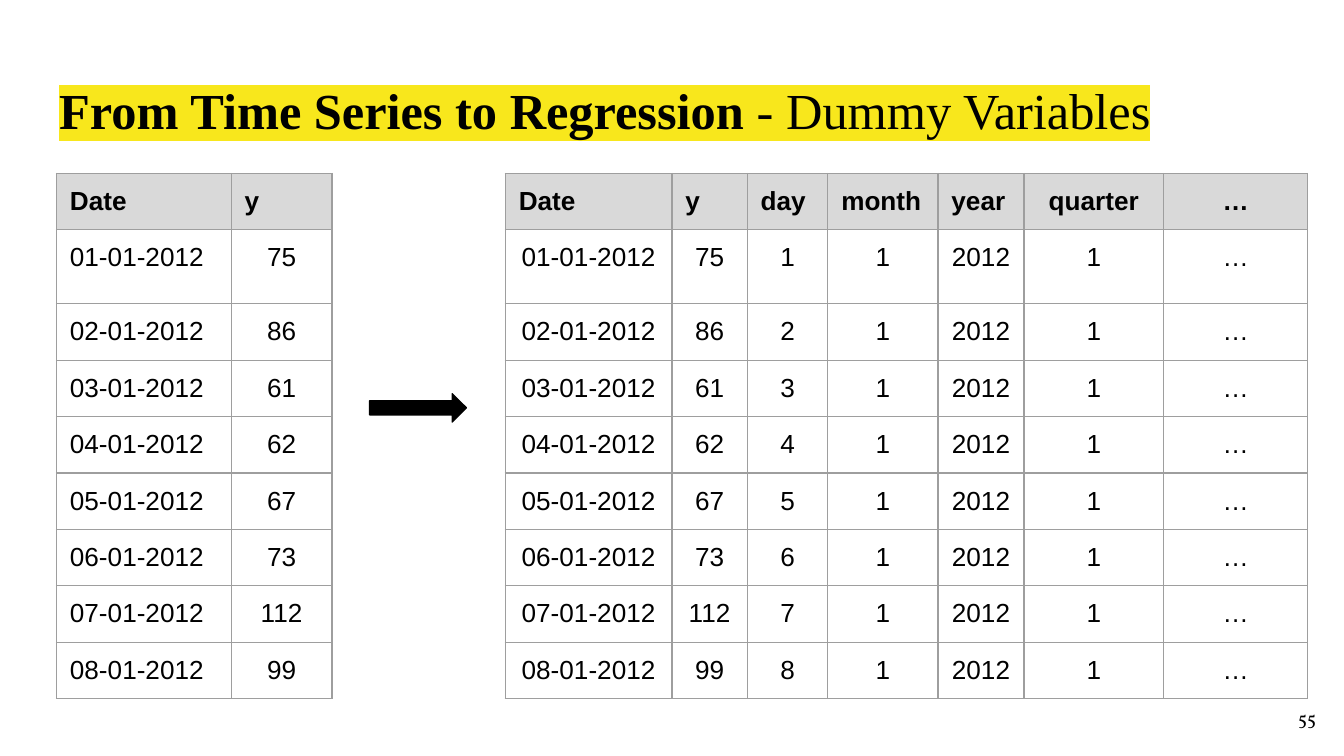
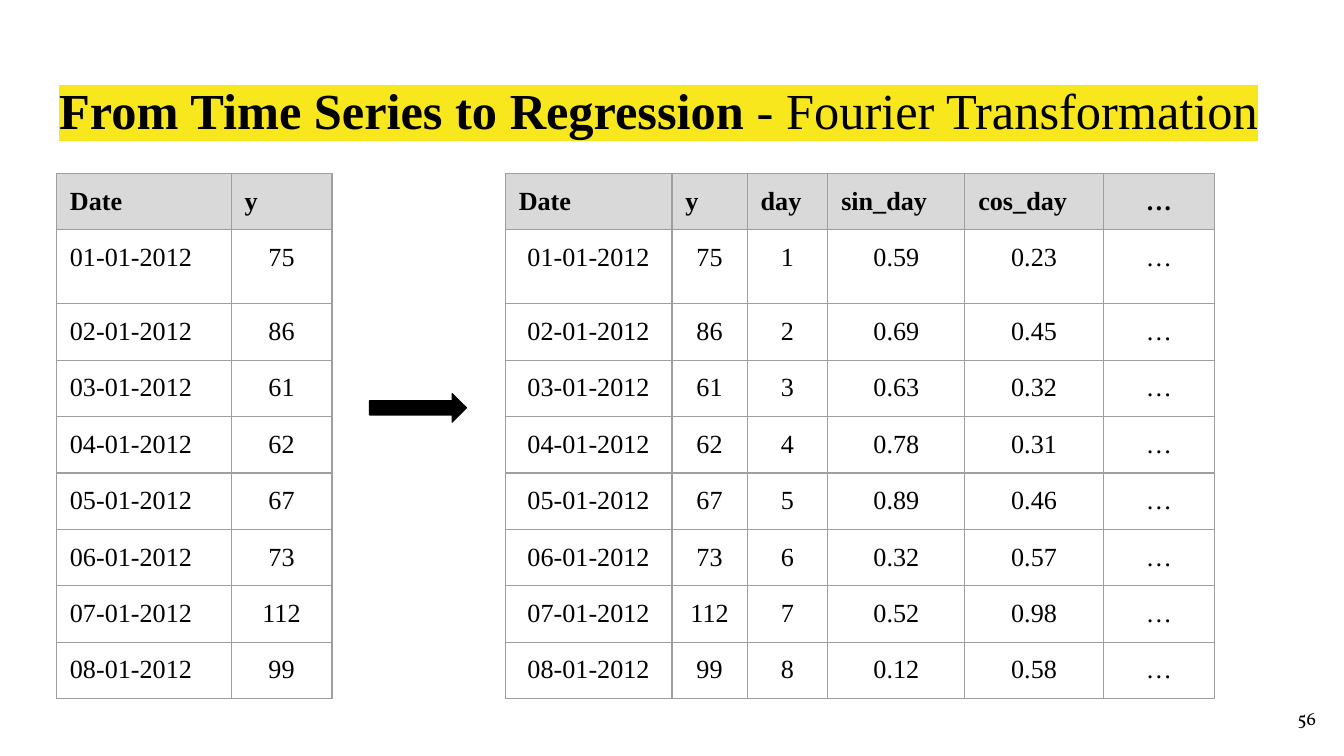
"""Build two slides that turn a time series into a regression table."""
from lxml.etree import SubElement
from pptx import Presentation
from pptx.dml.color import RGBColor
from pptx.enum.shapes import MSO_SHAPE as Shape
from pptx.enum.text import MSO_ANCHOR as Anchor, PP_ALIGN as Align
from pptx.oxml.ns import qn
from pptx.util import Inches, Pt

COLORS = {"ink": "000000", "highlight": "F8E71C", "header": "D9D9D9",
          "border": "9E9E9E", "paper": "FFFFFF"}
SERIF, SANS, NUMBER_FONT = "Times New Roman", "Arial", "Vollkorn"

DATES = [f"{day:02}-01-2012" for day in range(1, 9)]
VALUES = [75, 86, 61, 62, 67, 73, 112, 99]
DAYS = list(range(1, 9))
SINES = ["0.59", "0.69", "0.63", "0.78", "0.89", "0.32", "0.52", "0.12"]
COSINES = ["0.23", "0.45", "0.32", "0.31", "0.46", "0.57", "0.98", "0.58"]
MORE = ["…"] * 8

SERIES = [("Date", 1.3, DATES), ("y", 0.75, VALUES)]
SHARED_FEATURES = [("Date", 1.24, DATES), ("y", 0.56, VALUES), ("day", 0.6, DAYS)]
SLIDES = [
    {"title": ("From Time Series to Regression", " - Dummy Variables"),
     "font": SANS, "number": 55,
     "features": SHARED_FEATURES + [
         ("month", 0.82, [1] * 8), ("year", 0.64, [2012] * 8),
         ("quarter", 1.04, [1] * 8), ("…", 1.07, MORE)]},
    {"title": ("From Time Series to Regression ", "- Fourier Transformation"),
     "font": SERIF, "number": 56,
     "features": SHARED_FEATURES + [
         ("sin_day", 1.02, SINES), ("cos_day", 1.03, COSINES), ("…", 0.83, MORE)]},
]
CENTERED_HEADERS = {"quarter", "…"}

SLIDE_WIDTH = 10
SLIDE_HEIGHT = SLIDE_WIDTH * 9 / 16
SERIES_LEFT, FEATURES_LEFT, TABLE_TOP = 0.42, 3.76, 1.29
ROW_HEIGHTS = [0.42, 0.55] + [0.42] * 7
INSET = 0.1


def color(name):
    return RGBColor.from_string(COLORS[name])


def format_span(span, font, size, bold=False):
    span.font.name = font
    span.font.size = Pt(size)
    span.font.bold = bold
    span.font.color.rgb = color("ink")


def set_insets(holder):
    holder.margin_left = holder.margin_right = Inches(INSET)
    holder.margin_top = holder.margin_bottom = Inches(INSET)


def highlight(span):
    properties = span.font._element
    mark = SubElement(properties, qn("a:highlight"))
    SubElement(mark, qn("a:srgbClr"), val=COLORS["highlight"])
    properties.find(qn("a:solidFill")).addnext(mark)


def add_title(page, parts):
    title = page.shapes.title
    title.left, title.top = Inches(0.34), Inches(0.49)
    title.width, title.height = Inches(9.32), Inches(0.63)
    frame = title.text_frame
    frame.word_wrap = True
    frame.vertical_anchor = Anchor.TOP
    set_insets(frame)
    para = frame.paragraphs[0]
    para.alignment = Align.LEFT
    for part, bold in zip(parts, (True, False)):
        span = para.add_run()
        span.text = part
        format_span(span, SERIF, 27, bold)
        highlight(span)


def add_borders(cell):
    properties = cell._tc.get_or_add_tcPr()
    for side in ("lnL", "lnR", "lnT", "lnB"):
        line = SubElement(properties, qn(f"a:{side}"), w=str(Pt(0.75)))
        fill = SubElement(line, qn("a:solidFill"))
        SubElement(fill, qn("a:srgbClr"), val=COLORS["border"])


def fill_cell(cell, text, font, alignment, is_header):
    set_insets(cell)
    add_borders(cell)
    if is_header:
        cell.fill.solid()
        cell.fill.fore_color.rgb = color("header")
    else:
        cell.fill.background()
    para = cell.text_frame.paragraphs[0]
    para.text = str(text)
    para.alignment = alignment
    format_span(para.runs[0], font, 14, is_header)


def add_data_table(page, left, columns, font, date_alignment):
    width = sum(column[1] for column in columns)
    table = page.shapes.add_table(
        len(ROW_HEIGHTS), len(columns), Inches(left), Inches(TABLE_TOP),
        Inches(width), Inches(sum(ROW_HEIGHTS))).table
    table.first_row = table.horz_banding = False
    for row, height in zip(table.rows, ROW_HEIGHTS):
        row.height = Inches(height)
    for index, (header, column_width, values) in enumerate(columns):
        table.columns[index].width = Inches(column_width)
        header_alignment = Align.CENTER if header in CENTERED_HEADERS else Align.LEFT
        alignment = date_alignment if header == "Date" else Align.CENTER
        fill_cell(table.cell(0, index), header, font, header_alignment, True)
        for row, value in enumerate(values, start=1):
            fill_cell(table.cell(row, index), value, font, alignment, False)


def add_arrow(page):
    arrow = page.shapes.add_shape(
        Shape.RIGHT_ARROW, Inches(2.75), Inches(2.93), Inches(0.72), Inches(0.21))
    arrow.shadow.inherit = False
    arrow.fill.solid()
    arrow.fill.fore_color.rgb = color("ink")
    arrow.line.color.rgb = color("ink")
    arrow.line.width = Pt(0.75)


def add_page_number(page, number):
    box = page.shapes.add_textbox(
        Inches(9.29), Inches(5.13), Inches(0.6), Inches(0.43))
    frame = box.text_frame
    frame.word_wrap = True
    frame.vertical_anchor = Anchor.MIDDLE
    set_insets(frame)
    para = frame.paragraphs[0]
    para.text = str(number)
    para.alignment = Align.RIGHT
    format_span(para.runs[0], NUMBER_FONT, 10)


def main():
    deck = Presentation()
    deck.slide_width, deck.slide_height = Inches(SLIDE_WIDTH), Inches(SLIDE_HEIGHT)
    for content in SLIDES:
        page = deck.slides.add_slide(deck.slide_layouts[5])
        page.background.fill.solid()
        page.background.fill.fore_color.rgb = color("paper")
        add_title(page, content["title"])
        add_data_table(page, SERIES_LEFT, SERIES, content["font"], Align.LEFT)
        add_data_table(page, FEATURES_LEFT, content["features"], content["font"],
                       Align.CENTER)
        add_arrow(page)
        add_page_number(page, content["number"])
    deck.save("out.pptx")


if __name__ == "__main__":
    main()
